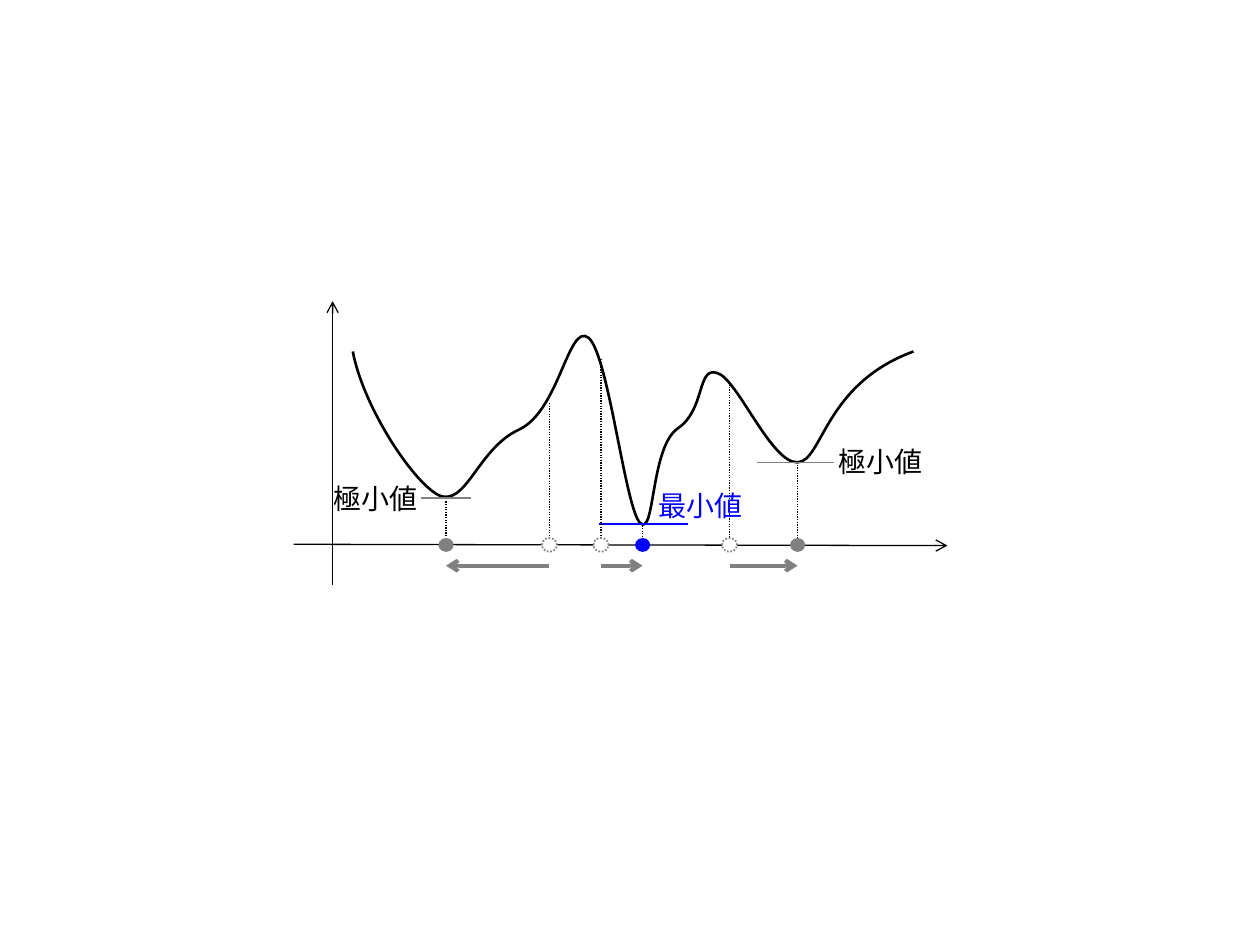
from pptx import Presentation
from pptx.dml.color import RGBColor
from pptx.enum.dml import MSO_LINE
from pptx.enum.shapes import MSO_CONNECTOR, MSO_SHAPE
from pptx.enum.text import MSO_AUTO_SIZE
from pptx.oxml.ns import qn
from pptx.util import Inches, Pt
from lxml.etree import SubElement

BLACK = RGBColor(0x00, 0x00, 0x00)
GRAY = RGBColor(0x80, 0x80, 0x80)
BLUE = RGBColor(0x00, 0x00, 0xFF)
WHITE = RGBColor(0xFF, 0xFF, 0xFF)
FONT = "Noto Sans CJK JP"

# Content: axes, function curve, search points and labels, in inches
AXES = [((2.64, 4.64), (2.64, 2.39)), ((2.33, 4.32), (7.52, 4.33))]
CURVE_START = (2.8, 2.79)
CURVE_SEGMENTS = [  # two control points and an end point each
    ((2.88, 3.22), (3.27, 3.82), (3.48, 3.93)),
    ((3.7, 4.03), (3.79, 3.56), (4.12, 3.41)),
    ((4.44, 3.26), (4.51, 2.56), (4.67, 2.68)),
    ((4.83, 2.81), (4.96, 4.03), (5.08, 4.15)),
    ((5.2, 4.27), (5.16, 3.55), (5.38, 3.4)),
    ((5.6, 3.25), (5.53, 2.91), (5.69, 2.96)),
    ((5.85, 3.0), (6.12, 3.68), (6.33, 3.67)),
    ((6.53, 3.66), (6.54, 3.05), (7.25, 2.79)),
]
MINIMA = [  # x, top of guide, colour, tangent (left, right, y)
    (3.54, 3.98, GRAY, (3.34, 3.74, 3.95)),
    (5.1, 4.17, BLUE, (4.75, 5.46, 4.16)),
    (6.33, 3.69, GRAY, (6.01, 6.62, 3.67)),
]
STARTS = [(4.36, 3.2), (4.77, 2.85), (5.79, 3.05)]  # x, top of guide
LABELS = [
    ("極小値", 2.55, 3.77, BLACK),
    ("極小値", 6.56, 3.48, BLACK),
    ("最小値", 5.13, 3.83, BLUE),
]
AXIS_Y = 4.32
MOVE_Y = 4.49
DOT_TOP, DOT_W, DOT_H = 4.27, 0.12, 0.11


def add_line(shapes, start, end, color, width, dotted=False, arrow=False):
    line = shapes.add_connector(
        MSO_CONNECTOR.STRAIGHT, *(Inches(v) for v in (*start, *end)))
    line.line.color.rgb = color
    line.line.width = Pt(width)
    if dotted:
        line.line.dash_style = MSO_LINE.ROUND_DOT
    if arrow:
        outline = line._element.spPr.get_or_add_ln()
        SubElement(outline, qn("a:tailEnd"), type="arrow")
    SubElement(line._element.spPr, qn("a:effectLst"))


def add_dot(shapes, x, fill, hollow=False):
    dot = shapes.add_shape(
        MSO_SHAPE.OVAL, Inches(x - DOT_W / 2), Inches(DOT_TOP),
        Inches(DOT_W), Inches(DOT_H))
    dot.shadow.inherit = False
    dot.fill.solid()
    dot.fill.fore_color.rgb = fill
    if hollow:
        dot.line.color.rgb = GRAY
        dot.line.width = Pt(1)
        dot.line.dash_style = MSO_LINE.ROUND_DOT
    else:
        dot.line.fill.background()


def add_curve(shapes):
    builder = shapes.build_freeform(*(Inches(v) for v in CURVE_START))
    builder.add_line_segments(
        [(Inches(x), Inches(y)) for _, _, (x, y) in CURVE_SEGMENTS],
        close=False)
    curve = builder.convert_to_shape()
    curve.shadow.inherit = False
    curve.fill.background()
    curve.line.color.rgb = BLACK
    curve.line.width = Pt(1.5)

    # Turn each straight segment into a cubic one
    straight = list(curve._element.iter(qn("a:lnTo")))
    for segment, points in zip(straight, CURVE_SEGMENTS):
        outline = segment.getparent()
        cubic = SubElement(outline, qn("a:cubicBezTo"))
        for x, y in points:
            SubElement(cubic, qn("a:pt"), x=str(Inches(x) - curve.left),
                       y=str(Inches(y) - curve.top))
        outline.replace(segment, cubic)


def add_label(shapes, text, left, top, color):
    label = shapes.add_textbox(
        Inches(left), Inches(top), Inches(0.88), Inches(0.37))
    frame = label.text_frame
    frame.word_wrap = False
    frame.auto_size = MSO_AUTO_SIZE.SHAPE_TO_FIT_TEXT
    frame.text = text
    run = frame.paragraphs[0].runs[0]
    run.font.size = Pt(16)
    run.font.name = FONT
    run.font.color.rgb = color
    SubElement(run.font._element, qn("a:ea"), typeface=FONT)


def main():
    prs = Presentation()
    prs.slide_width, prs.slide_height = Inches(10), Inches(7.5)
    shapes = prs.slides.add_slide(prs.slide_layouts[6]).shapes

    # Axes and function curve
    for start, end in AXES:
        add_line(shapes, start, end, BLACK, 0.75, arrow=True)
    add_curve(shapes)

    # Tangents at the minima
    for _, _, color, (left, right, y) in MINIMA:
        add_line(shapes, (left, y), (right, y), color, 1)

    # Moves from each starting point to its minimum
    for (start_x, _), (minimum_x, *_) in zip(STARTS, MINIMA):
        add_line(shapes, (start_x, MOVE_Y), (minimum_x, MOVE_Y), GRAY, 2.25,
                 arrow=True)

    # Dotted guides down to the axis
    for x, top, *_ in MINIMA + STARTS:
        add_line(shapes, (x, top), (x, AXIS_Y), BLACK, 0.75, dotted=True)

    # Points on the axis and labels
    for x, _, color, _ in MINIMA:
        add_dot(shapes, x, color)
    for label in LABELS:
        add_label(shapes, *label)
    for x, _ in STARTS:
        add_dot(shapes, x, WHITE, hollow=True)

    prs.save("out.pptx")


if __name__ == "__main__":
    main()
